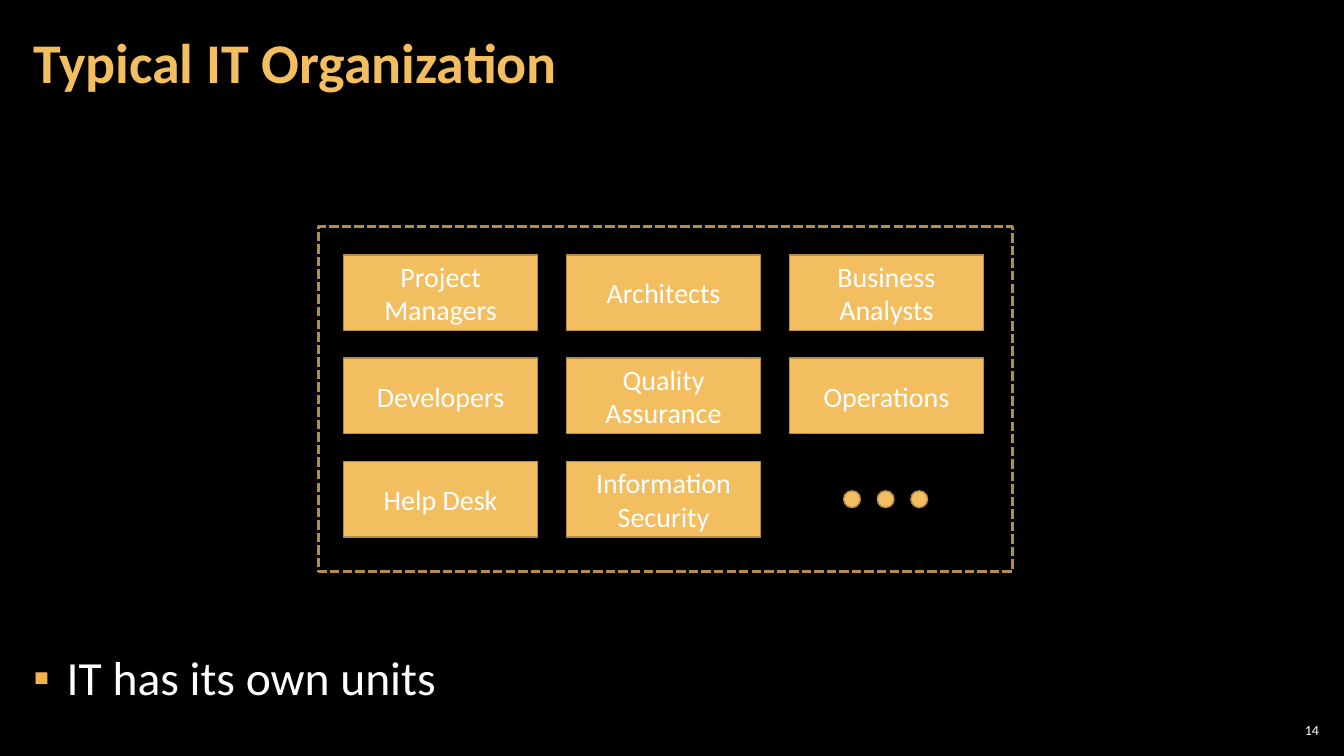
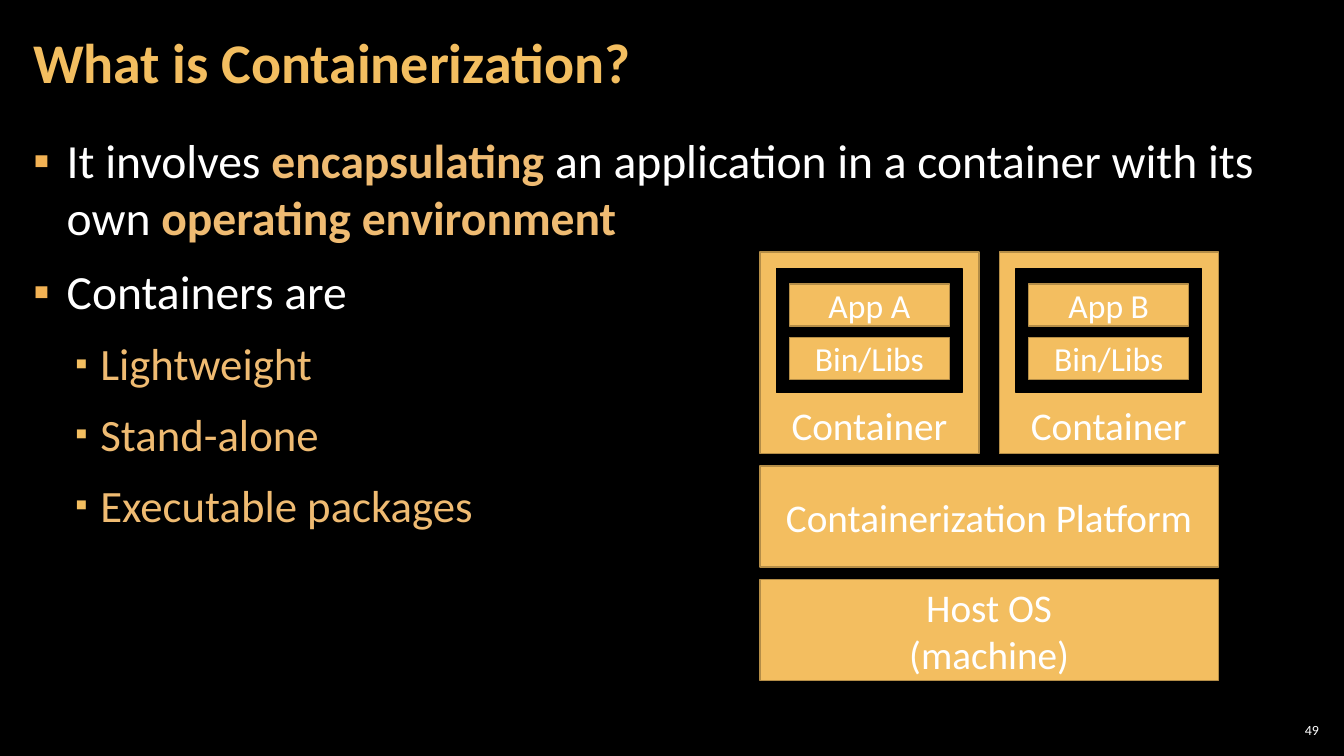
from lxml import etree
from pptx import Presentation
from pptx.dml.color import RGBColor
from pptx.enum import dml, shapes, text
from pptx.oxml.ns import qn
from pptx.util import Pt

COLORS = {
    "background": "000000",
    "text": "FFFFFF",
    "gold": "F3BE60",
    "outline": "B48D47",
    "accent": "EFBB72",
    "bullet": "F2B254",
}
FONT = "Calibri"
RECT = shapes.MSO_SHAPE.RECTANGLE
OVAL = shapes.MSO_SHAPE.OVAL
LEVELS = [
    {"size": 34, "left": 24, "hang": 24, "bullet": "bullet", "scale": 100, "color": "text"},
    {"size": 32, "left": 48, "hang": 18, "bullet": "gold", "scale": 80, "color": "accent"},
]


def color(name):
    """Look up a palette colour."""
    return RGBColor.from_string(COLORS[name])


def place(part, box):
    """Move a placeholder to a box given in points."""
    part.left, part.top, part.width, part.height = map(Pt, box)


def style(font, size, tint="text", bold=False):
    """Apply the deck typeface with a size, colour and weight."""
    font.name, font.size, font.bold = FONT, Pt(size), bold
    font.color.rgb = color(tint)


def set_frame(frame, anchor, side, edge):
    """Set wrapping, anchor and insets of a text frame."""
    frame.word_wrap = True
    frame.auto_size = text.MSO_AUTO_SIZE.NONE
    frame.vertical_anchor = anchor
    frame.margin_left = frame.margin_right = Pt(side)
    frame.margin_top = frame.margin_bottom = Pt(edge)


def add_block(parent, box, lines=(), size=20, fill="gold", line="outline",
              kind=RECT, anchor=text.MSO_ANCHOR.MIDDLE):
    """Add a filled, outlined block with centred lines of text."""
    block = parent.add_shape(kind, *map(Pt, box))
    block.shadow.inherit = False
    if fill:
        block.fill.solid()
        block.fill.fore_color.rgb = color(fill)
    else:
        block.fill.background()
    block.line.color.rgb = color(line)
    block.line.width = Pt(1)
    if lines:
        frame = block.text_frame
        set_frame(frame, anchor, 7.2, 3.6)
        frame.text = "\n".join(lines)
        for paragraph in frame.paragraphs:
            paragraph.alignment = text.PP_ALIGN.CENTER
            style(paragraph.font, size)
    return block


def add_bullet(paragraph, level, parts):
    """Write a bullet from (wording, emphasised) parts."""
    look = LEVELS[level]
    paragraph.level = level
    paragraph.space_before = paragraph.space_after = Pt(6)
    props = paragraph._p.get_or_add_pPr()
    props.set("marL", str(Pt(look["left"])))
    props.set("indent", str(-Pt(look["hang"])))
    tint = etree.SubElement(props, qn("a:buClr"))
    etree.SubElement(tint, qn("a:srgbClr"), val=COLORS[look["bullet"]])
    etree.SubElement(props, qn("a:buSzPct"), val=str(look["scale"] * 1000))
    etree.SubElement(props, qn("a:buChar"), char="▪")
    style(paragraph.font, look["size"], look["color"])
    for wording, emphasised in parts:
        run = paragraph.add_run()
        run.text = wording
        if emphasised:
            run.font.bold = True
            run.font.color.rgb = color("accent")


def add_page(deck, heading, number, bullets, body_top):
    """Add a slide with its title, bullets and page number."""
    slide = deck.slides.add_slide(deck.slide_layouts[1])
    title, body = slide.placeholders
    place(title, (15, 3, 754, 87))
    set_frame(title.text_frame, text.MSO_ANCHOR.MIDDLE, 8.64, 2.88)
    title.text_frame.text = heading
    paragraph = title.text_frame.paragraphs[0]
    paragraph.alignment = text.PP_ALIGN.LEFT
    paragraph.line_spacing = 0.9
    style(paragraph.font, 40, "gold", True)

    place(body, (15, body_top, 930, 529 - body_top))
    set_frame(body.text_frame, text.MSO_ANCHOR.TOP, 8.64, 2.88)
    for index, (level, parts) in enumerate(bullets):
        paragraph = body.text_frame.paragraphs[0] if index == 0 else body.text_frame.add_paragraph()
        add_bullet(paragraph, level, parts)

    page = slide.shapes.add_textbox(Pt(911), Pt(514), Pt(34), Pt(15)).text_frame
    set_frame(page, text.MSO_ANCHOR.MIDDLE, 2.88, 2.88)
    page.text = str(number)
    page.paragraphs[0].alignment = text.PP_ALIGN.RIGHT
    style(page.paragraphs[0].font, 10)
    return slide


def add_units(slide, box, units):
    """Draw the dashed department frame with its grid of units."""
    left, top = box[:2]
    border = add_block(slide.shapes, box, fill=None)
    border.line.width = Pt(2.25)
    border.line.dash_style = dml.MSO_LINE.SQUARE_DOT
    for index, unit in enumerate(units):
        row, column = divmod(index, 3)
        add_block(slide.shapes,
                  (left + 18 + column * 159.2, top + 20 + row * 73.8, 138.4, 54), [unit])
    ellipsis = slide.shapes.add_group_shape().shapes
    for index in range(3):
        add_block(ellipsis, (left + 375 + index * 24, top + 188.6, 12, 12), kind=OVAL)


def add_container(slide, box, app):
    """Draw a container around an application and its libraries."""
    left, top, width, _ = box
    container = slide.shapes.add_group_shape().shapes
    add_block(container, box, ["Container"], 28, anchor=text.MSO_ANCHOR.BOTTOM)
    add_block(container, (left + 12, top + 12, width - 24, 88.5),
              fill="background", line="background")
    for index, label in enumerate([app, "Bin/Libs"]):
        add_block(container, (left + 21, top + 23 + index * 38, width - 42, 30), [label], 24)


def add_stack(slide, box, apps):
    """Draw containers on top of the platform and host layers."""
    left, top, width, height = box
    gap, layer = 9, 72
    for index, label in enumerate([["Host OS", "(machine)"], ["Containerization Platform"]]):
        layer_top = top + height - layer - index * (layer + gap)
        add_block(slide.shapes, (left, layer_top, width, layer), label, 28)
    container_width = 156.4
    pitch = (width - container_width) / (len(apps) - 1)
    for index, app in enumerate(apps):
        add_container(slide, (left + index * pitch, top, container_width,
                              height - 2 * (layer + gap)), app)


def main():
    """Build and save the deck."""
    deck = Presentation()
    deck.slide_width, deck.slide_height = Pt(960), Pt(540)
    backdrop = deck.slide_master.background.fill
    backdrop.solid()
    backdrop.fore_color.rgb = color("background")

    organization = add_page(deck, "Typical IT Organization", 14,
                            [(0, [("IT has its own units", False)])], 460)
    add_units(organization, (227.6, 162, 495.6, 246.2), [
        "Project Managers", "Architects", "Business Analysts",
        "Developers", "Quality Assurance", "Operations",
        "Help Desk", "Information Security",
    ])

    containerization = add_page(deck, "What is Containerization?", 49, [
        (0, [("It involves ", False), ("encapsulating ", True),
             ("an application in a container with its own ", False),
             ("operating environment", True)]),
        (0, [("Containers are", False)]),
        (1, [("Lightweight", False)]),
        (1, [("Stand-alone", False)]),
        (1, [("Executable packages", False)]),
    ], 90.7)
    add_stack(containerization, (542.8, 180, 327.4, 306), ["App A", "App B"])

    deck.save("out.pptx")


if __name__ == "__main__":
    main()
